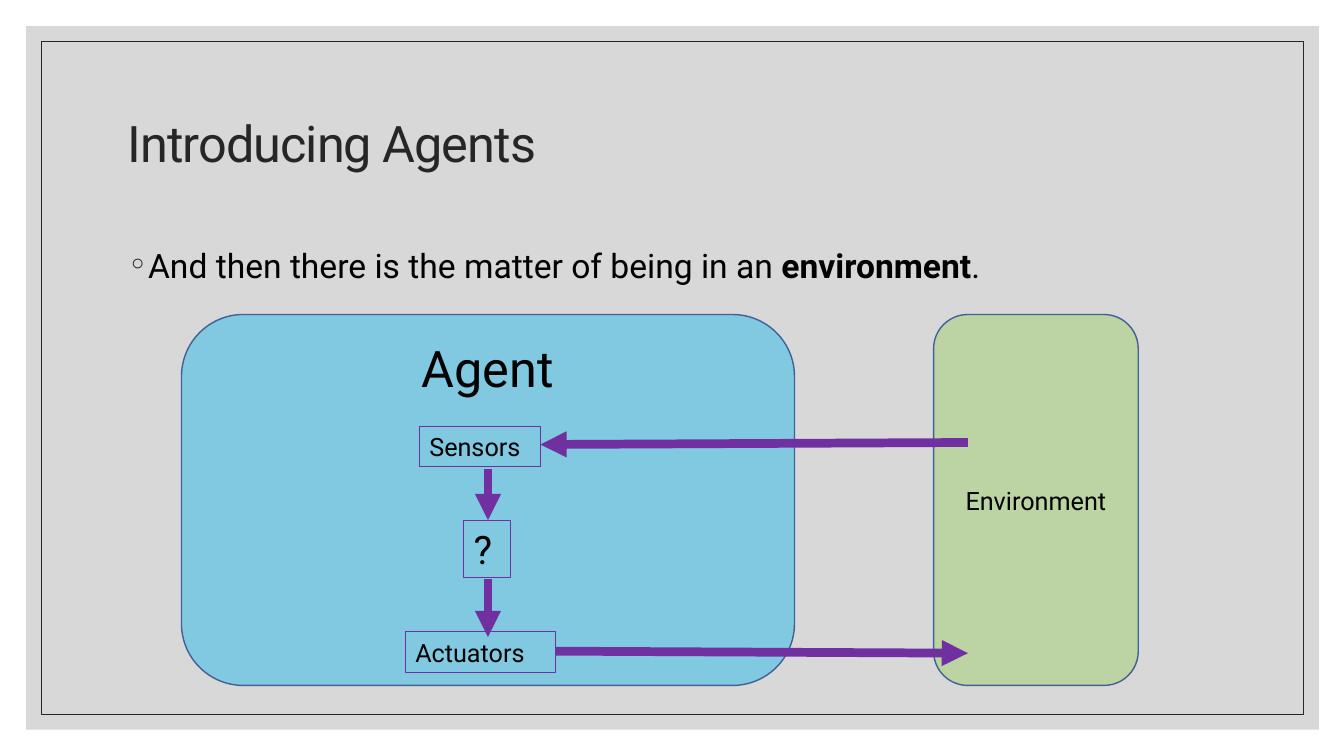
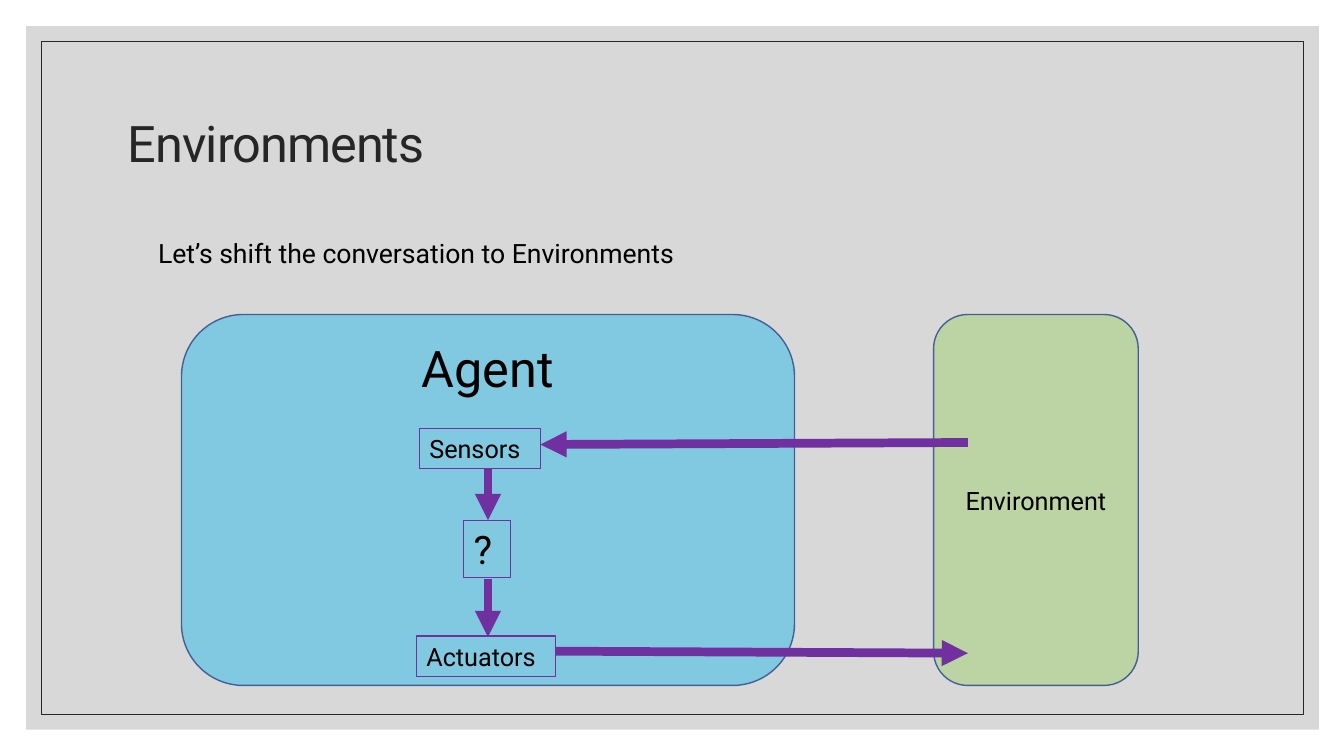
from pptx import Presentation
from pptx.dml.color import RGBColor
from pptx.enum.shapes import MSO_CONNECTOR, MSO_SHAPE
from pptx.enum.text import MSO_ANCHOR, PP_ALIGN
from pptx.oxml.ns import qn
from pptx.util import Inches, Pt
from lxml import etree

RECT, ROUNDED = MSO_SHAPE.RECTANGLE, MSO_SHAPE.ROUNDED_RECTANGLE
STRAIGHT = MSO_CONNECTOR.STRAIGHT
TOP, MIDDLE = MSO_ANCHOR.TOP, MSO_ANCHOR.MIDDLE
LEFT, CENTER = PP_ALIGN.LEFT, PP_ALIGN.CENTER

FONT = "Roboto"
BLACK = RGBColor(0x00, 0x00, 0x00)
CHARCOAL = RGBColor(0x26, 0x26, 0x26)
GREY = RGBColor(0xBF, 0xBF, 0xBF)
GREEN = RGBColor(0x92, 0xD0, 0x50)
BLUE = RGBColor(0x00, 0xB0, 0xF0)
NAVY = RGBColor(0x43, 0x60, 0x96)
PURPLE = RGBColor(0x70, 0x30, 0xA0)

# Content: body runs are (text, bold); small boxes are left, top, width, height
SLIDES = [
    {
        "title": "Introducing Agents",
        "body": [("And then there is the matter of being in an ", False),
                 ("environment", True), (".", False)],
        "body_format": {"size": 24, "spacing": 1.2, "margin": 0.2, "bullet": "◦"},
        "sensors": (4.16, 4.23, 1.2, 0.4),
        "actuators": (4.02, 6.27, 1.49, 0.4),
    },
    {
        "title": "Environments",
        "body": [("Let’s shift the conversation to Environments", False)],
        "body_format": {"size": 19, "margin": 0.3},
        "sensors": (4.16, 4.25, 1.2, 0.4),
        "actuators": (4.13, 6.31, 1.38, 0.4),
    },
]

# Shared layout
PANEL = (0.26, 0.26, 12.82, 6.98)
FRAME = (0.41, 0.41, 12.52, 6.68)
TITLE = (1.17, 0.7, 11, 1.5)
BODY = (1.17, 2.3, 11, 4.21)
AGENT = (1.8, 3.12, 6.08, 3.68)
ENVIRONMENT = (9.26, 3.12, 2.03, 3.68)
QUESTION = (4.6, 5.16, 0.46, 0.57)
AGENT_AXIS = 4.84
ENVIRONMENT_PORT = 9.6
ARROWS = [
    ((ENVIRONMENT_PORT, 4.39), (5.36, 4.41)),  # environment to sensors
    ((5.51, 6.46), (ENVIRONMENT_PORT, 6.48)),  # actuators to environment
    ((AGENT_AXIS, 4.65), (AGENT_AXIS, 5.16)),  # sensors to question
    ((AGENT_AXIS, 5.74), (AGENT_AXIS, 6.32)),  # question to actuators
]


def inches(values):
    return [Inches(value) for value in values]


def write(shape, text, size=18, color=BLACK, align=LEFT, anchor=TOP, wrap=True,
          spacing=None, tracking=None, margin=0, bullet=None):
    """Fill a shape with one paragraph: a string or a list of (text, bold)."""
    frame = shape.text_frame
    frame.word_wrap = wrap
    frame.vertical_anchor = anchor
    paragraph = frame.paragraphs[0]
    paragraph.alignment = align
    if spacing:
        paragraph.line_spacing = spacing
    properties = paragraph._p.get_or_add_pPr()
    if margin:
        properties.set("marL", str(Inches(margin)))
        properties.set("indent", str(-Inches(margin) if bullet else 0))
    if bullet:
        bullet_color = etree.SubElement(properties, qn("a:buClr"))
        etree.SubElement(bullet_color, qn("a:srgbClr"), val=str(CHARCOAL))
        etree.SubElement(properties, qn("a:buFont"), typeface=FONT)
        etree.SubElement(properties, qn("a:buChar"), char=bullet)
    for words, bold in [(text, False)] if isinstance(text, str) else text:
        run = paragraph.add_run()
        run.text = words
        run.font.name = FONT
        run.font.size = Pt(size)
        run.font.bold = bold
        run.font.color.rgb = color
        if tracking:
            run._r.get_or_add_rPr().set("spc", str(round(tracking * 100)))


def add_box(slide, kind, place, fill=None, opacity=100, line=None, width=1):
    box = slide.shapes.add_shape(kind, *inches(place))
    box.shadow.inherit = False
    if fill is None:
        box.fill.background()
    else:
        box.fill.solid()
        box.fill.fore_color.rgb = fill
        color = box._element.spPr.find(qn("a:solidFill"))[0]
        etree.SubElement(color, qn("a:alpha"), val=str(opacity * 1000))
    if line is None:
        box.line.fill.background()
    else:
        box.line.color.rgb = line
        box.line.width = Pt(width)
    return box


def add_arrow(slide, start, end):
    arrow = slide.shapes.add_connector(STRAIGHT, *inches(start + end))
    arrow.line.color.rgb = PURPLE
    arrow.line.width = Pt(6.25)
    etree.SubElement(arrow.line._get_or_add_ln(), qn("a:tailEnd"), type="triangle")
    etree.SubElement(arrow._element.spPr, qn("a:effectLst"))


def add_base(slide, title):
    add_box(slide, RECT, PANEL, fill=GREY, opacity=60)
    add_box(slide, RECT, FRAME, line=CHARCOAL, width=0.5)
    write(slide.shapes.add_textbox(*inches(TITLE)), title, size=36, color=CHARCOAL,
          anchor=MIDDLE, spacing=0.9, tracking=-0.7)


def add_diagram(slide, sensors, actuators):
    environment = add_box(slide, ROUNDED, ENVIRONMENT, fill=GREEN, opacity=39, line=NAVY)
    write(environment, "Environment", align=CENTER, anchor=MIDDLE)
    agent = add_box(slide, ROUNDED, AGENT, fill=BLUE, opacity=40, line=NAVY)
    write(agent, "Agent", size=36, align=CENTER, wrap=False)
    for text, place, size in [("Sensors", sensors, 18), ("?", QUESTION, 28),
                              ("Actuators", actuators, 18)]:
        write(add_box(slide, RECT, place, line=PURPLE, width=0.75), text, size=size)
    for start, end in ARROWS:
        add_arrow(slide, start, end)


def main():
    deck = Presentation()
    deck.slide_width, deck.slide_height = Inches(13.33), Inches(7.5)
    blank = deck.slide_layouts[6]
    for content in SLIDES:
        slide = deck.slides.add_slide(blank)
        add_base(slide, content["title"])
        write(slide.shapes.add_textbox(*inches(BODY)), content["body"],
              **content["body_format"])
        add_diagram(slide, content["sensors"], content["actuators"])
    deck.save("out.pptx")


if __name__ == "__main__":
    main()
